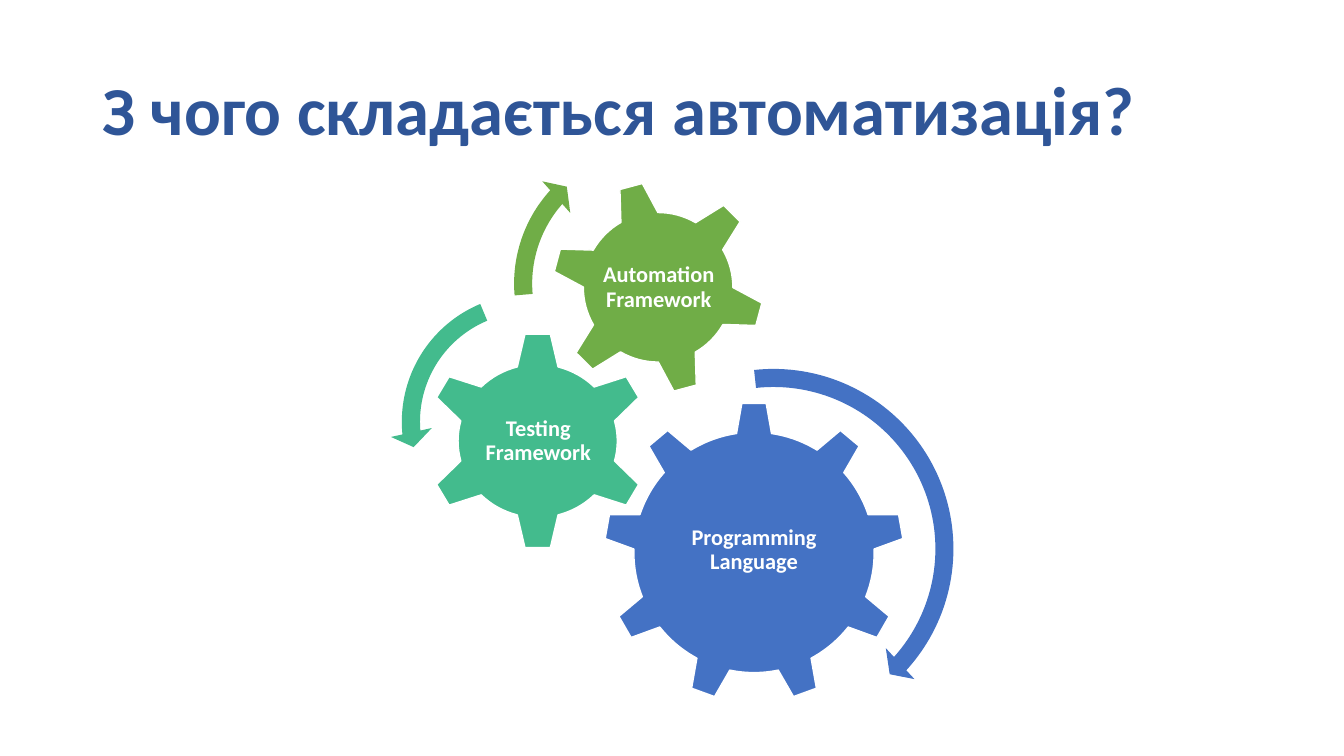
from pptx import Presentation, util as u
from pptx.dml.color import RGBColor
from pptx.enum import shapes, text

COLORS = {
    "title": "2F5597",
    "white": "FFFFFF",
    "language": "4472C4",
    "testing": "43BB8D",
    "automation": "70AD47",
}
PRESET = shapes.MSO_SHAPE


def add_label(box, wording, size, color, align, inset_x, inset_y):
    left, top, width, height = (u.Pt(v) for v in box)
    frame = slide.shapes.add_textbox(left, top, width, height).text_frame
    frame.word_wrap = True
    frame.vertical_anchor = text.MSO_ANCHOR.MIDDLE
    frame.margin_left = frame.margin_right = u.Pt(inset_x)
    frame.margin_top = frame.margin_bottom = u.Pt(inset_y)
    paragraph = frame.paragraphs[0]
    paragraph.alignment = align
    paragraph.line_spacing = 0.9
    run = paragraph.add_run()
    run.text = wording
    run.font.name = "Calibri"
    run.font.size = u.Pt(size)
    run.font.bold = True
    run.font.color.rgb = RGBColor.from_string(COLORS[color])
    return paragraph


def add_part(preset, box, color):
    left, top, width, height = (u.Pt(v) for v in box)
    part = slide.shapes.add_shape(preset, left, top, width, height)
    part.shadow.inherit = False
    part.fill.solid()
    part.fill.fore_color.rgb = RGBColor.from_string(COLORS[color])
    return part


deck = Presentation()
deck.slide_width, deck.slide_height = u.Pt(960), u.Pt(540)
slide = deck.slides.add_slide(deck.slide_layouts[6])

add_label((66, 28.8, 828, 104.4), "З чого складається автоматизація?",
          49, "title", text.PP_ALIGN.LEFT, 7.2, 3.6)

gears = [
    (PRESET.GEAR_9, (431.3, 287.3, 214.6, 214.6), 0, "language",
     "Programming Language", (474.5, 337.7, 128.2, 110.2)),
    (PRESET.GEAR_6, (303.8, 236.9, 160.6, 156.2), 0, "testing",
     "Testing Framework", (344.2, 276.5, 80.6, 77)),
    (PRESET.GEAR_6, (393.8, 128.9, 152.6, 152.6), 345, "automation",
     "Automation Framework", (427.7, 162.7, 85.7, 85.7)),
]
for preset, gear_box, rotation, color, wording, label_box in gears:
    gear = add_part(preset, gear_box, color)
    gear.rotation = rotation
    gear.line.color.rgb = RGBColor.from_string(COLORS["white"])
    gear.line.width = u.Pt(1)
    label = add_label(label_box, wording, 16, "white",
                      text.PP_ALIGN.CENTER, 1.44, 1.44)
    label.space_after = u.Pt(5.6)

turns = [
    (PRESET.CIRCULAR_ARROW, (415.4, 254.9, 274.3), "language",
     (0.047, 2.99, 25.317, 158.281, 0.055)),
    (PRESET.LEFT_CIRCULAR_ARROW, (278.6, 201.6, 199.4), "testing",
     (0.065, 4.3, 104.891, 148.378, 0.075)),
    (PRESET.CIRCULAR_ARROW, (358.6, 95, 215.3), "automation",
     (0.06, 3.941, 133.138, 105.082, 0.07)),
]
for preset, (left, top, diameter), color, bends in turns:
    turn = add_part(preset, (left, top, diameter, diameter), color)
    turn.line.fill.background()
    for index, bend in enumerate(bends):
        turn.adjustments[index] = bend

deck.save("out.pptx")
